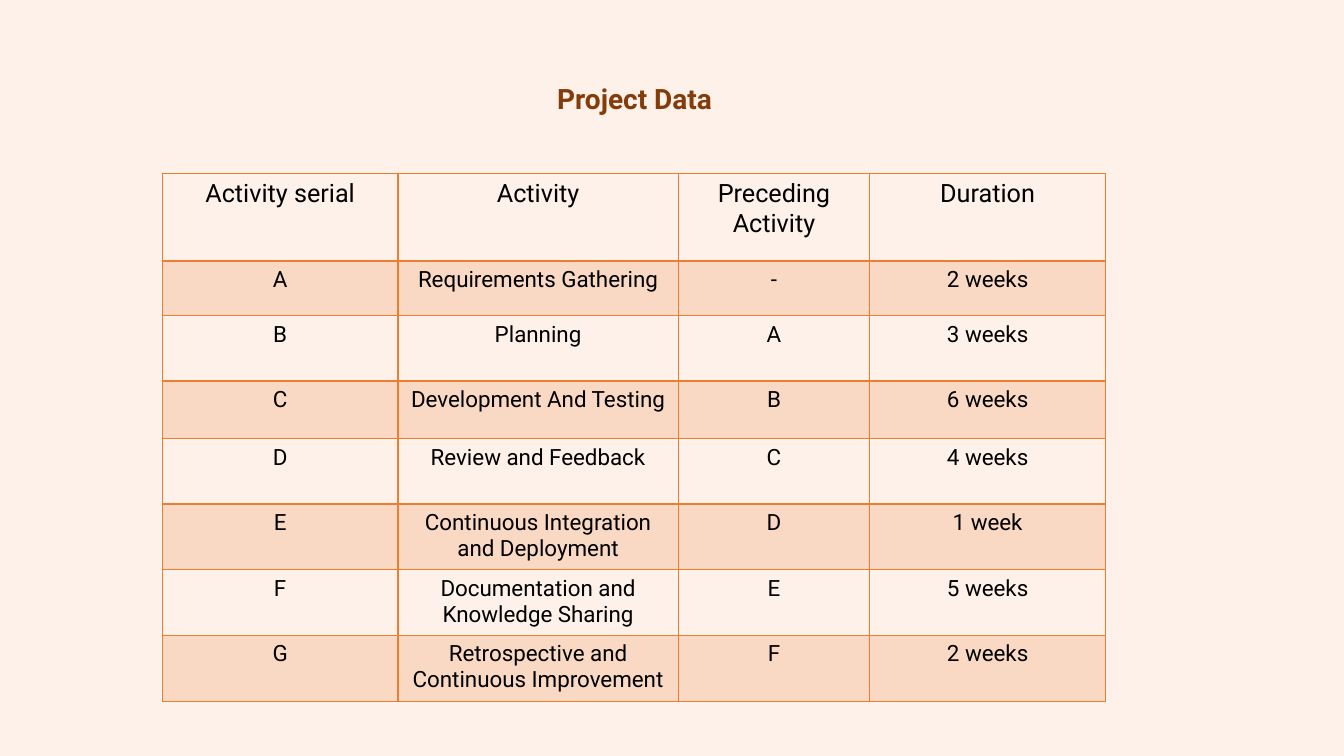
from lxml.etree import SubElement
from pptx import Presentation
from pptx.dml.color import RGBColor
from pptx.enum.text import MSO_AUTO_SIZE, PP_ALIGN
from pptx.oxml.ns import qn
from pptx.util import Cm, Pt

COLORS = {
    "background": "FDF1E9",
    "title": "843C0B",
    "text": "000000",
    "accent": "ED7D31",
}

ACTIVITIES = [
    ("Activity serial", "Activity", "Preceding Activity", "Duration"),
    ("A", "Requirements Gathering", "-", "2 weeks"),
    ("B", "Planning", "A", "3 weeks"),
    ("C", "Development And Testing", "B", "6 weeks"),
    ("D", "Review and Feedback", "C", "4 weeks"),
    ("E", "Continuous Integration and Deployment", "D", "1 week"),
    ("F", "Documentation and Knowledge Sharing", "E", "5 weeks"),
    ("G", "Retrospective and Continuous Improvement", "F", "2 weeks"),
]
COLUMN_WIDTHS = [5.94, 7.06, 4.83, 5.94]
ROW_HEIGHTS = [2.21, 1.38, 1.64, 1.46, 1.64, 1.64, 1.64, 1.67]


class SlideBuilder:
    font_name = "Roboto"

    def __init__(self, slide):
        self.slide = slide

    def color(self, name):
        return RGBColor.from_string(COLORS[name])

    def background(self):
        fill = self.slide.background.fill
        fill.solid()
        fill.fore_color.rgb = self.color("background")

    def style_text(self, frame, size, color, bold=False):
        for paragraph in frame.paragraphs:
            for run in paragraph.runs:
                run.font.name = self.font_name
                run.font.size = Pt(size)
                run.font.bold = bold
                run.font.color.rgb = self.color(color)

    def title(self, text, left, top, width, height):
        heading = self.slide.shapes.add_textbox(Cm(left), Cm(top), Cm(width), Cm(height))
        frame = heading.text_frame
        frame.word_wrap = False
        frame.auto_size = MSO_AUTO_SIZE.SHAPE_TO_FIT_TEXT
        frame.text = text
        self.style_text(frame, 20, "title", bold=True)

    def border(self, cell, side, points):
        line = SubElement(cell._tc.get_or_add_tcPr(), qn(f"a:ln{side}"), w=str(Pt(points)))
        fill = SubElement(line, qn("a:solidFill"))
        SubElement(fill, qn("a:srgbClr"), val=COLORS["accent"])

    def shade(self, cell, opacity):
        cell.fill.solid()
        cell.fill.fore_color.rgb = self.color("accent")
        tint = cell._tc.tcPr.find(qn("a:solidFill")).find(qn("a:srgbClr"))
        SubElement(tint, qn("a:alpha"), val=str(opacity * 1000))

    def cell(self, cell, text, row):
        cell.margin_left = cell.margin_right = Cm(0.28)
        cell.margin_top = cell.margin_bottom = Cm(0.15)
        cell.text_frame.text = text
        cell.text_frame.paragraphs[0].alignment = PP_ALIGN.CENTER
        self.style_text(cell.text_frame, 18 if row == 0 else 16, "text")
        widths = {"L": 1, "R": 1, "T": 2 if row == 1 else 1, "B": 2 if row == 0 else 1}
        for side, points in widths.items():
            self.border(cell, side, points)
        if row % 2:
            self.shade(cell, 20)
        else:
            cell.fill.background()

    def table(self, rows, left, top, widths, heights):
        frame = self.slide.shapes.add_table(
            len(heights), len(widths), Cm(left), Cm(top), Cm(sum(widths)), Cm(sum(heights))
        )
        table = frame.table
        table.first_row = table.horz_banding = False
        for column, width in zip(table.columns, widths):
            column.width = Cm(width)
        for row, height in zip(table.rows, heights):
            row.height = Cm(height)
        for row, texts in enumerate(rows):
            for column, text in enumerate(texts):
                self.cell(table.cell(row, column), text, row)


def main():
    presentation = Presentation()
    presentation.slide_width = Cm(33.87)
    presentation.slide_height = Cm(19.05)
    builder = SlideBuilder(presentation.slides.add_slide(presentation.slide_layouts[6]))
    builder.background()
    builder.title("Project Data", 13.79, 1.93, 4.52, 1.12)
    builder.table(ACTIVITIES, 4.09, 4.37, COLUMN_WIDTHS, ROW_HEIGHTS)
    presentation.save("out.pptx")


if __name__ == "__main__":
    main()
